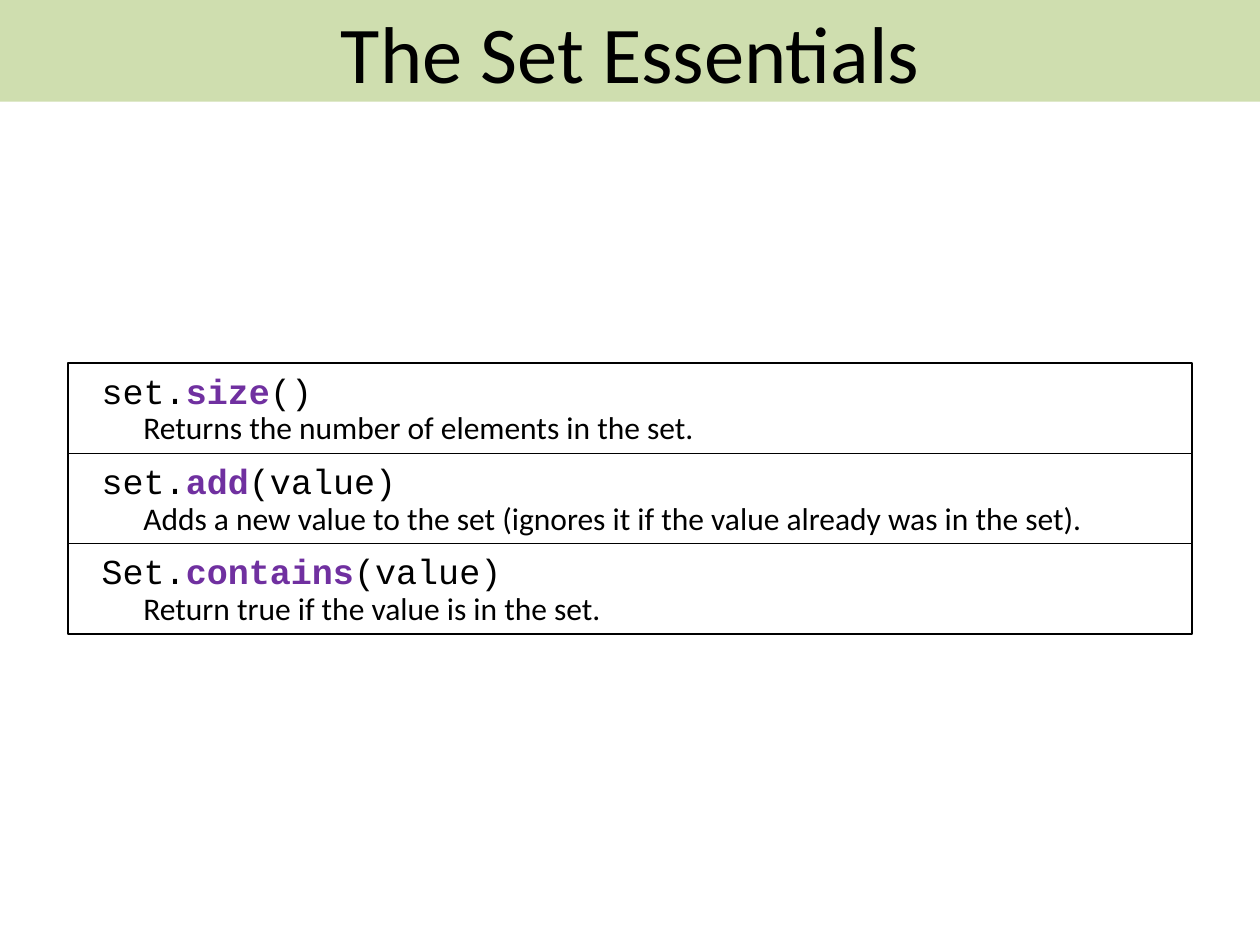
"""Build the slide on the essential operations of a set."""
from dataclasses import dataclass

from lxml import etree
from pptx import Presentation
from pptx.dml.color import RGBColor
from pptx.enum import shapes, text
from pptx.oxml import ns
from pptx.util import Cm, Pt


@dataclass(frozen=True)
class Theme:
    ink: RGBColor = RGBColor(0x00, 0x00, 0x00)
    paper: RGBColor = RGBColor(0xFF, 0xFF, 0xFF)
    accent: RGBColor = RGBColor(0x70, 0x30, 0xA0)
    band: RGBColor = RGBColor(0xC3, 0xD6, 0x9B)
    body: str = "Calibri"
    code: str = "Courier New"
    title_size: Pt = Pt(46)
    code_size: Pt = Pt(20)
    note_size: Pt = Pt(18)


theme = Theme()


def add_run(p, words, font, size, color=theme.ink, bold=False):
    r = p.add_run()
    r.text = words
    r.font.name = font
    r.font.size = size
    r.font.color.rgb = color
    r.font.bold = bold


def add_line(s, left, top, width, height):
    tf = s.shapes.add_textbox(left, top, width, height).text_frame
    tf.word_wrap = True
    return tf.paragraphs[0]


prs = Presentation()
prs.slide_width, prs.slide_height = Cm(25.4), Cm(19.05)
s = prs.slides.add_slide(prs.slide_layouts[5])

row_left, row_top, row_width, row_height = Cm(1.37), Cm(7.32), Cm(22.66), Cm(1.82)
methods = [
    ("set.", "size", "()", "Returns the number of elements in the set."),
    ("set.", "add", "(value)",
     "Adds a new value to the set (ignores it if the value already was in the set)."),
    ("Set.", "contains", "(value)", "Return true if the value is in the set."),
]
for i, (owner, name, args, note) in enumerate(methods):
    top = row_top + i * row_height
    sp = s.shapes.add_shape(
        shapes.MSO_SHAPE.RECTANGLE, row_left, top, row_width, row_height)
    sp.shadow.inherit = False
    sp.fill.solid()
    sp.fill.fore_color.rgb = theme.paper
    sp.line.color.rgb = theme.ink
    sp.line.width = Pt(0.75)

    p = add_line(s, Cm(1.8), top, Cm(21.8), Cm(1.09))
    add_run(p, owner, theme.code, theme.code_size)
    add_run(p, name, theme.code, theme.code_size, theme.accent, True)
    add_run(p, args, theme.code, theme.code_size)

    p = add_line(s, Cm(2.64), top + Cm(0.79), Cm(21.16), Cm(1.02))
    add_run(p, note, theme.body, theme.note_size)

title = s.shapes.title
title.left, title.top, title.width, title.height = 0, 0, prs.slide_width, Cm(2.05)
title.fill.solid()
title.fill.fore_color.rgb = theme.band
color = title.element.spPr.find(".//" + ns.qn("a:srgbClr"))
etree.SubElement(color, ns.qn("a:alpha")).set("val", "80000")
tf = title.text_frame
tf.auto_size = text.MSO_AUTO_SIZE.NONE
tf.vertical_anchor = text.MSO_ANCHOR.MIDDLE
p = tf.paragraphs[0]
p.alignment = text.PP_ALIGN.CENTER
add_run(p, "The Set Essentials", theme.body, theme.title_size)

prs.save("out.pptx")
